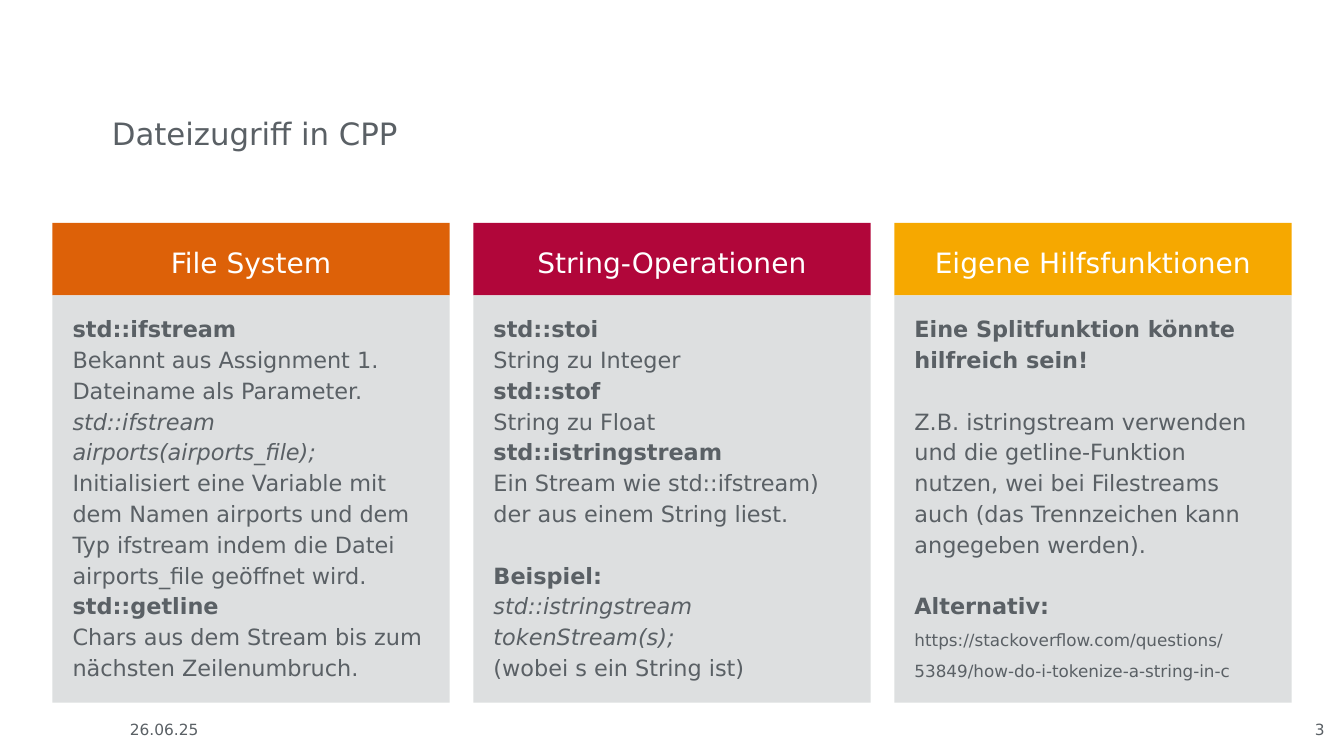
from pptx import Presentation
from pptx.dml.color import RGBColor
from pptx.enum.shapes import MSO_SHAPE
from pptx.enum.text import MSO_ANCHOR, MSO_AUTO_SIZE, PP_ALIGN
from pptx.util import Inches, Pt

# Content: each paragraph is (style, text); "gap" styles leave one line above
TITLE = "Dateizugriff in CPP"
COLUMNS = [
    ("File System", "DD6108", [
        ("bold", "std::ifstream"),
        ("plain", "Bekannt aus Assignment 1. Dateiname als Parameter."),
        ("italic", "std::ifstream airports(airports_file);"),
        ("plain", "Initialisiert eine Variable mit dem Namen airports und dem Typ "
                  "ifstream indem die Datei airports_file geöffnet wird."),
        ("bold", "std::getline"),
        ("plain", "Chars aus dem Stream bis zum nächsten Zeilenumbruch."),
    ]),
    ("String-Operationen", "B1063A", [
        ("bold", "std::stoi"),
        ("plain", "String zu Integer"),
        ("bold", "std::stof"),
        ("plain", "String zu Float"),
        ("bold", "std::istringstream"),
        ("plain", "Ein Stream wie std::ifstream) der aus einem String liest."),
        ("bold gap", "Beispiel:"),
        ("italic", "std::istringstream tokenStream(s);"),
        ("plain", "(wobei s ein String ist)"),
    ]),
    ("Eigene Hilfsfunktionen", "F6A800", [
        ("bold", "Eine Splitfunktion könnte hilfreich sein!"),
        ("plain gap", "Z.B. istringstream verwenden und die getline-Funktion nutzen, wei bei "
                      "Filestreams auch (das Trennzeichen kann angegeben werden)."),
        ("bold gap", "Alternativ:"),
        ("small", "https://stackoverflow.com/questions/53849/how-do-i-tokenize-a-string-in-c"),
    ]),
]
FOOTERS = [("26.06.25", (0.9, 7.04, 1.07, 0.4)), ("3", (12.61, 7.02, 0.53, 0.44))]

# Layout in inches
LEFT, TOP, WIDTH, PITCH = 0.52, 2.21, 3.94, 4.175
HEADER_HEIGHT, BODY_HEIGHT = 0.72, 4.04
FONT, GREY, PANEL, WHITE = "DejaVu Sans", "5A6065", "DDDFE0", "FFFFFF"


def color(value):
    return RGBColor.from_string(value)


def setup_frame(frame, anchor, inset_x=0, inset_y=0):
    frame.word_wrap = True
    frame.auto_size = MSO_AUTO_SIZE.NONE
    frame.vertical_anchor = anchor
    frame.margin_left = frame.margin_right = Inches(inset_x)
    frame.margin_top = frame.margin_bottom = Inches(inset_y)


def write(para, text, size, ink=GREY, align=PP_ALIGN.LEFT, spacing=None):
    para.text = text
    para.alignment = align
    para.font.name = FONT
    para.font.size = Pt(size)
    para.font.color.rgb = color(ink)
    if spacing:
        para.line_spacing = Pt(spacing)


def add_panel(page, left, top, height, fill):
    panel = page.shapes.add_shape(MSO_SHAPE.RECTANGLE, Inches(left), Inches(top),
                                  Inches(WIDTH), Inches(height))
    panel.shadow.inherit = False
    panel.fill.solid()
    panel.fill.fore_color.rgb = color(fill)
    panel.line.fill.background()
    return panel.text_frame


deck = Presentation()
deck.slide_width, deck.slide_height = Inches(13.33), Inches(7.5)
page = deck.slides.add_slide(deck.slide_layouts[5])

# Title
title = page.shapes.title
title.left, title.top = Inches(1.11), Inches(0.65)
title.width, title.height = Inches(10.53), Inches(0.85)
setup_frame(title.text_frame, MSO_ANCHOR.BOTTOM)
write(title.text_frame.paragraphs[0], TITLE, 22, spacing=26)

# Three columns: coloured header above a grey body
for index, (heading, fill, lines) in enumerate(COLUMNS):
    left = LEFT + index * PITCH
    header = add_panel(page, left, TOP, HEADER_HEIGHT, fill)
    setup_frame(header, MSO_ANCHOR.MIDDLE)
    write(header.paragraphs[0], heading, 20, WHITE, PP_ALIGN.CENTER, 28)

    body = add_panel(page, left, TOP + HEADER_HEIGHT, BODY_HEIGHT, PANEL)
    setup_frame(body, MSO_ANCHOR.TOP, 0.2, 0.16)
    for number, (style, text) in enumerate(lines):
        para = body.add_paragraph() if number else body.paragraphs[0]
        write(para, text, 12 if style == "small" else 16, spacing=22)
        para.font.bold = "bold" in style
        para.font.italic = "italic" in style
        if "gap" in style:
            para.space_before = Pt(22)

# Date and page number
for text, bounds in FOOTERS:
    box = page.shapes.add_textbox(*map(Inches, bounds))
    setup_frame(box.text_frame, MSO_ANCHOR.MIDDLE)
    write(box.text_frame.paragraphs[0], text, 11, align=PP_ALIGN.RIGHT)

deck.save("out.pptx")
